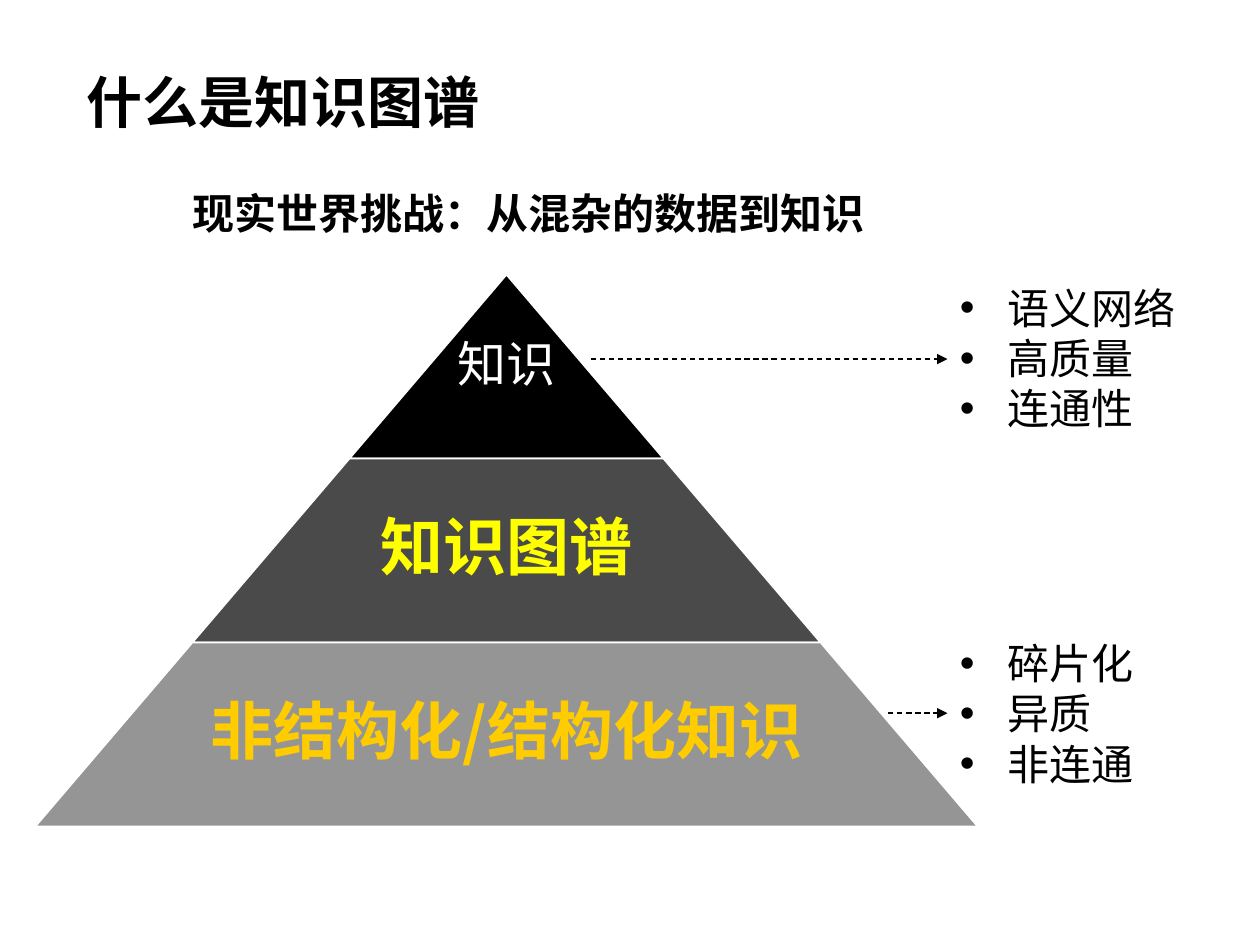
import dataclasses

import lxml.etree
import pptx
import pptx.dml.color
import pptx.enum.dml
import pptx.enum.shapes
import pptx.enum.text
import pptx.oxml.ns
import pptx.util
from pptx.util import Inches


@dataclasses.dataclass(frozen=True)
class Theme:
    """Fonts, colours and type sizes of the slide."""
    title_font: str = "Times New Roman"
    body_font: str = "Noto Sans CJK SC"
    ink: str = "000000"
    paper: str = "FFFFFF"
    middle_fill: str = "4A4A4A"
    base_fill: str = "959595"
    yellow: str = "FFFF00"
    amber: str = "FFCC00"
    title_size: int = 32
    body_size: int = 24
    top_size: int = 28
    level_size: int = 36


THEME = Theme()


def rgb(value):
    """Return the colour for a hex string."""
    return pptx.dml.color.RGBColor.from_string(value)


def add_element(parent, tag, **attributes):
    """Append an XML element with the given attributes."""
    return lxml.etree.SubElement(parent, pptx.oxml.ns.qn(tag), attributes)


def format_runs(paragraph, size, color, bold=False, font_name=THEME.body_font):
    """Format every run of a paragraph, with the body font for Chinese."""
    for run in paragraph.runs:
        run.font.size = pptx.util.Pt(size)
        run.font.bold = bold
        run.font.color.rgb = rgb(color)
        run.font.name = font_name
        add_element(run.font._element, "a:ea", typeface=THEME.body_font)


def add_text_box(slide, box, text):
    """Add a wrapping text box and return its text frame."""
    text_frame = slide.shapes.add_textbox(*map(Inches, box)).text_frame
    text_frame.word_wrap = True
    text_frame.text = text
    return text_frame


def add_title(slide, box, text):
    """Move and format the title placeholder."""
    title = slide.shapes.title
    title.left, title.top, title.width, title.height = map(Inches, box)
    title.text_frame.text = text
    title.text_frame.vertical_anchor = pptx.enum.text.MSO_ANCHOR.MIDDLE
    paragraph = title.text_frame.paragraphs[0]
    paragraph.alignment = pptx.enum.text.PP_ALIGN.LEFT
    format_runs(paragraph, THEME.title_size, THEME.ink, True, THEME.title_font)


def add_subtitle(slide, box, text):
    """Add the bold line above the pyramid."""
    text_frame = add_text_box(slide, box, text)
    format_runs(text_frame.paragraphs[0], THEME.body_size, THEME.ink, True)


def add_level_label(slide, box, text, size, color, bold):
    """Add a centred label over one pyramid level."""
    text_frame = add_text_box(slide, box, text)
    text_frame.vertical_anchor = pptx.enum.text.MSO_ANCHOR.MIDDLE
    text_frame.margin_left = text_frame.margin_right = Inches(0.05)
    text_frame.margin_top = text_frame.margin_bottom = Inches(0.05)
    paragraph = text_frame.paragraphs[0]
    paragraph.alignment = pptx.enum.text.PP_ALIGN.CENTER
    paragraph.line_spacing = 0.9
    format_runs(paragraph, size, color, bold)


def add_pyramid(slide, box, levels):
    """Stack equal-height trapezoids that widen evenly from the apex."""
    left, top, width, height = box
    level_height = height / len(levels)
    step = width / len(levels)
    center = left + width / 2
    for index, (text, fill, size, color, bold) in enumerate(levels):
        level_width = step * (index + 1)
        level_top = top + index * level_height
        level = slide.shapes.add_shape(
            pptx.enum.shapes.MSO_SHAPE.TRAPEZOID,
            Inches(center - level_width / 2), Inches(level_top),
            Inches(level_width), Inches(level_height))
        level.adjustments[0] = step / 2 / level_height
        level.shadow.inherit = False
        level.fill.solid()
        level.fill.fore_color.rgb = rgb(fill)
        level.line.color.rgb = rgb(THEME.paper)
        level.line.width = pptx.util.Pt(1)
        label_width = level_width if index == 0 else 0.65 * level_width
        label_box = (center - label_width / 2, level_top, label_width, level_height)
        add_level_label(slide, label_box, text, size, color, bold)


def add_bullets(slide, box, items):
    """Add a bulleted list."""
    text_frame = add_text_box(slide, box, "\n".join(items))
    for paragraph in text_frame.paragraphs:
        properties = paragraph._p.get_or_add_pPr()
        properties.set("marL", str(Inches(0.38)))
        properties.set("indent", str(-Inches(0.38)))
        add_element(properties, "a:buFont", typeface="Arial")
        add_element(properties, "a:buChar", char="•")
        format_runs(paragraph, THEME.body_size, THEME.ink)


def add_arrow(slide, start, end, height):
    """Add a dashed horizontal arrow."""
    arrow = slide.shapes.add_connector(
        pptx.enum.shapes.MSO_CONNECTOR.STRAIGHT,
        Inches(start), Inches(height), Inches(end), Inches(height))
    arrow.line.color.rgb = rgb(THEME.ink)
    arrow.line.width = pptx.util.Pt(0.75)
    arrow.line.dash_style = pptx.enum.dml.MSO_LINE.DASH
    add_element(arrow.line._get_or_add_ln(), "a:tailEnd", type="triangle")
    add_element(arrow._element.spPr, "a:effectLst")


def main():
    """Build the slide and save it."""
    presentation = pptx.Presentation()
    presentation.slide_width, presentation.slide_height = Inches(10), Inches(7.5)
    slide = presentation.slides.add_slide(presentation.slide_layouts[5])
    add_title(slide, (0.59, 0.18, 8.5, 1.25), "什么是知识图谱")
    add_pyramid(slide, (0.28, 2.18, 7.48, 4.38), [
        ("知识", THEME.ink, THEME.top_size, THEME.paper, False),
        ("知识图谱", THEME.middle_fill, THEME.level_size, THEME.yellow, True),
        ("非结构化/结构化知识", THEME.base_fill, THEME.level_size, THEME.amber, True),
    ])
    notes_left = 7.52
    for top, arrow_start, arrow_height, items in (
            (2.19, 4.69, 2.85, ["语义网络", "高质量", "连通性"]),
            (5.01, 7.05, 5.66, ["碎片化", "异质", "非连通"])):
        add_bullets(slide, (notes_left, top, 2.13, 1.31), items)
        add_arrow(slide, arrow_start, notes_left, arrow_height)
    add_subtitle(slide, (1.43, 1.44, 6.51, 0.5), "现实世界挑战：从混杂的数据到知识")
    presentation.save("out.pptx")


if __name__ == "__main__":
    main()
